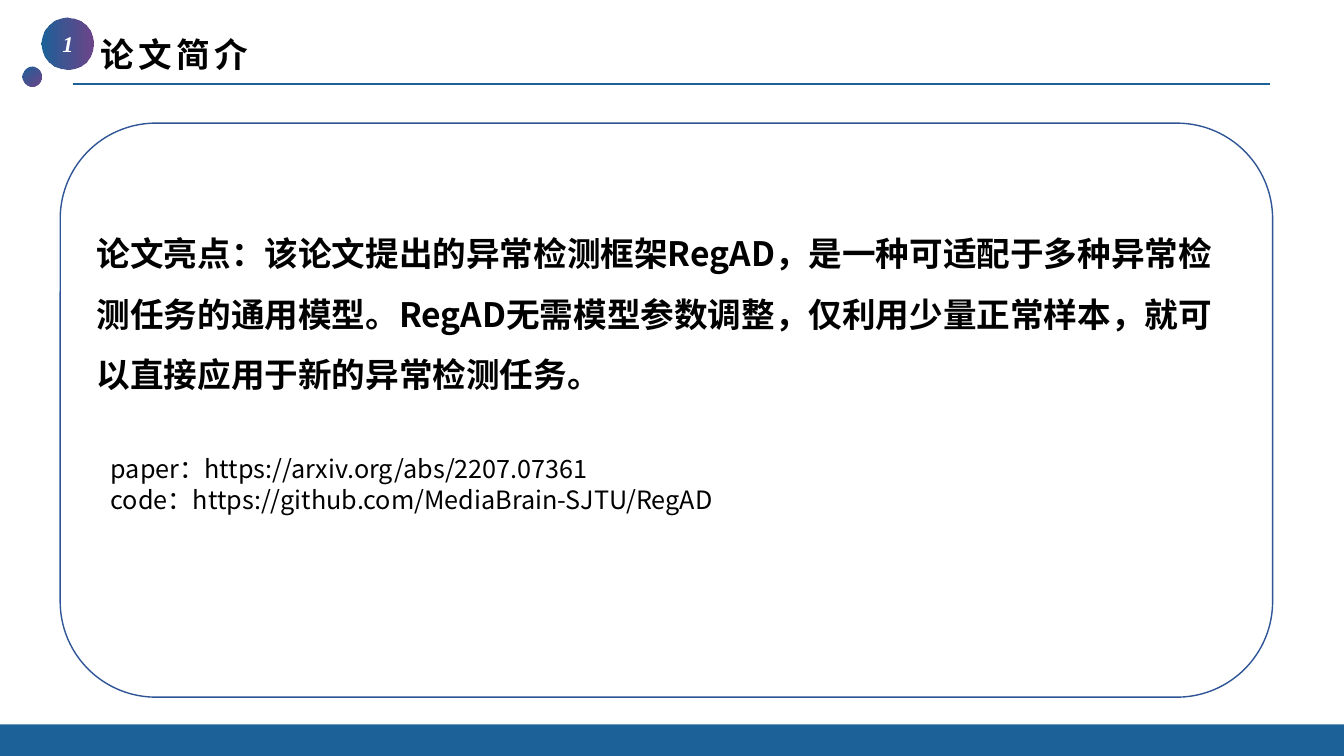
from dataclasses import dataclass

from lxml import etree
from pptx import Presentation
from pptx.dml.color import RGBColor
from pptx.enum.shapes import MSO_CONNECTOR, MSO_SHAPE
from pptx.enum.text import MSO_ANCHOR, MSO_AUTO_SIZE, PP_ALIGN
from pptx.oxml.ns import qn
from pptx.util import Pt

STRAIGHT = MSO_CONNECTOR.STRAIGHT
RECTANGLE = MSO_SHAPE.RECTANGLE
ROUNDED = MSO_SHAPE.ROUNDED_RECTANGLE
OVAL = MSO_SHAPE.OVAL
MIDDLE = MSO_ANCHOR.MIDDLE
BOTTOM = MSO_ANCHOR.BOTTOM
TOP = MSO_ANCHOR.TOP
FIT_TEXT = MSO_AUTO_SIZE.SHAPE_TO_FIT_TEXT
CENTER = PP_ALIGN.CENTER


@dataclass(frozen=True)
class Theme:
    blue: str = "1C6299"
    purple: str = "5C307D"
    outline: str = "2F5597"
    black: str = "000000"
    white: str = "FFFFFF"
    heading_size: int = 24
    link_size: int = 18
    number_size: int = 16
    body_font: str = "Noto Sans CJK SC"
    title_font: str = "Arial"
    number_font: str = "Times New Roman"


class SlideBuilder:
    def __init__(self, slide, theme):
        self.shapes = slide.shapes
        self.theme = theme

    def line(self, left, right, y, width):
        connector = self.shapes.add_connector(STRAIGHT, Pt(left), Pt(y), Pt(right), Pt(y))
        connector.line.color.rgb = RGBColor.from_string(self.theme.blue)
        connector.line.width = Pt(width)
        etree.SubElement(connector._element.spPr, qn("a:effectLst"))

    def shape(self, kind, left, top, width, height):
        shape = self.shapes.add_shape(kind, Pt(left), Pt(top), Pt(width), Pt(height))
        shape.shadow.inherit = False
        return shape

    def bar(self, left, top, width, height):
        bar = self.shape(RECTANGLE, left, top, width, height)
        bar.fill.solid()
        bar.fill.fore_color.rgb = RGBColor.from_string(self.theme.blue)
        bar.line.fill.background()

    def frame(self, left, top, width, height):
        frame = self.shape(ROUNDED, left, top, width, height)
        frame.fill.background()
        frame.line.color.rgb = RGBColor.from_string(self.theme.outline)
        frame.line.width = Pt(1)

    def ball(self, left, top, diameter, angle):
        ball = self.shape(OVAL, left, top, diameter, diameter)
        ball.line.fill.background()
        ball.fill.gradient()
        ball.fill.gradient_angle = -angle % 360
        for stop, color in zip(ball.fill.gradient_stops, (self.theme.blue, self.theme.purple)):
            stop.color.rgb = RGBColor.from_string(color)
        end_color = ball._element.spPr.findall(".//" + qn("a:srgbClr"))[-1]
        etree.SubElement(end_color, qn("a:alpha"), val="90000")
        return ball

    def text_box(self, left, top, width, height, lines, size, anchor=TOP, **style):
        box = self.shapes.add_textbox(Pt(left), Pt(top), Pt(width), Pt(height))
        frame = box.text_frame
        frame.word_wrap = True
        frame.vertical_anchor = anchor
        self.set_text(frame, lines, size, **style)
        return frame

    def set_text(self, frame, lines, size, font=None, color=None, bold=False,
                 italic=False, align=None, line_spacing=None, tracking=0):
        frame.text = "\n".join(lines)
        for paragraph in frame.paragraphs:
            paragraph.alignment = align
            paragraph.line_spacing = line_spacing
            paragraph.font.name = font or self.theme.body_font
            paragraph.font.size = Pt(size)
            paragraph.font.bold = bold
            paragraph.font.italic = italic
            paragraph.font.color.rgb = RGBColor.from_string(color or self.theme.black)
            properties = paragraph._p.pPr.find(qn("a:defRPr"))
            if tracking:
                properties.set("spc", str(tracking * 100))
            east_asian = etree.Element(qn("a:ea"), typeface=self.theme.body_font)
            properties.find(qn("a:latin")).addnext(east_asian)


def main():
    theme = Theme()
    presentation = Presentation()
    presentation.slide_width = Pt(960)
    presentation.slide_height = Pt(540)
    slide = presentation.slides.add_slide(presentation.slide_layouts[6])
    builder = SlideBuilder(slide, theme)

    builder.line(52, 907, 60, 1.75)
    builder.bar(0, 517.5, 960, 22.5)

    number_ball = builder.ball(30, 12.5, 37, 0)
    number_ball.text_frame.vertical_anchor = MIDDLE
    builder.set_text(number_ball.text_frame, ["1"], theme.number_size, theme.number_font,
                     theme.white, bold=True, italic=True, align=CENTER)
    builder.ball(16, 47.5, 14, 50)

    title = builder.text_box(72, 13, 262, 44, ["论文简介"], theme.heading_size, BOTTOM,
                             font=theme.title_font, bold=True, line_spacing=0.9, tracking=3)
    title.margin_left = 0

    highlight = (
        "论文亮点：该论文提出的异常检测框架RegAD，是一种可适配于多种异常检测任务的通用模型。"
        "RegAD无需模型参数调整，仅利用少量正常样本，就可以直接应用于新的异常检测任务。"
    )
    body = builder.text_box(62, 148.5, 811, 138, [highlight], theme.heading_size,
                            bold=True, line_spacing=1.5)
    body.auto_size = FIT_TEXT

    builder.frame(43, 88, 866, 410)

    links = [
        "paper：https://arxiv.org/abs/2207.07361",
        "code：https://github.com/MediaBrain-SJTU/RegAD",
    ]
    sources = builder.text_box(72, 320.5, 620, 51, links, theme.link_size)
    sources.auto_size = FIT_TEXT

    presentation.save("out.pptx")


if __name__ == "__main__":
    main()
